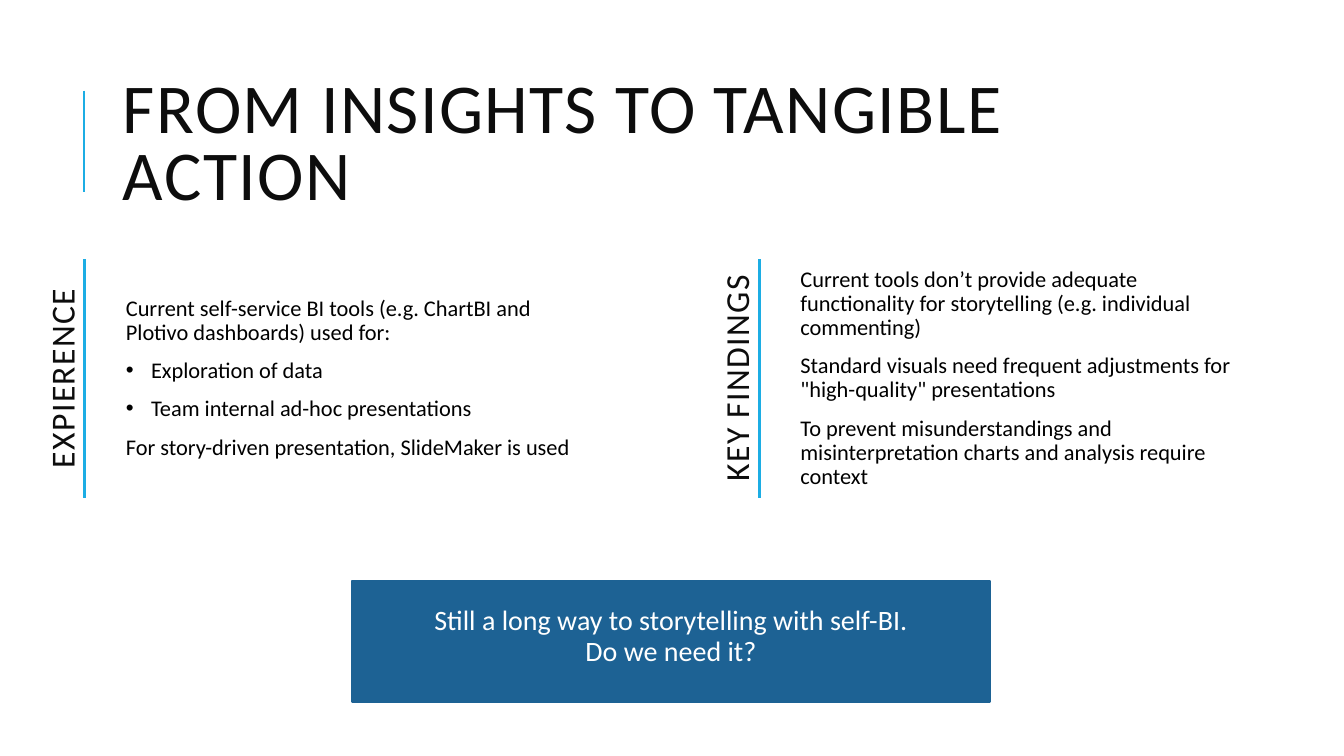
from lxml import etree
from pptx import Presentation
from pptx.dml.color import RGBColor
from pptx.enum import shapes, text
from pptx.oxml.ns import qn
from pptx.util import Inches, Pt

COLORS = {"accent": "1CADE4", "heading": "0D0D0D", "body": "000000",
          "banner": "1D6294", "white": "FFFFFF"}
FONT = "Calibri"
BULLET = "\u2022"


def rgb(name):
    """Return the named palette colour."""
    return RGBColor.from_string(COLORS[name])


def write(sp, lines, size, color, spacing, before=0, align=text.PP_ALIGN.LEFT, tracking=0):
    """Fill a shape with paragraphs; lines that start with a bullet become list items."""
    tf = sp.text_frame
    tf.word_wrap = True
    tf.vertical_anchor = text.MSO_ANCHOR.MIDDLE
    for i, line in enumerate(lines):
        p = tf.paragraphs[0] if i == 0 else tf.add_paragraph()
        p.text = line.removeprefix(BULLET)
        p.alignment = align
        p.line_spacing = spacing
        p.space_before = Pt(before)
        if line.startswith(BULLET):
            pPr = p._p.get_or_add_pPr()
            pPr.set("marL", str(Inches(0.25)))
            pPr.set("indent", str(Inches(-0.25)))
            etree.SubElement(pPr, qn("a:buFont")).set("typeface", "Arial")
            etree.SubElement(pPr, qn("a:buChar")).set("char", BULLET)
        for r in p.runs:
            r.font.name = FONT
            r.font.size = Pt(size)
            r.font.color.rgb = rgb(color)
            if tracking:
                r._r.get_or_add_rPr().set("spc", str(tracking * 100))


def add_textbox(s, x, y, w, h):
    """Add an empty text box, measured in inches."""
    return s.shapes.add_textbox(Inches(x), Inches(y), Inches(w), Inches(h))


def add_rule(s, x, y, h, weight):
    """Draw a vertical accent line."""
    line = s.shapes.add_connector(shapes.MSO_CONNECTOR.STRAIGHT,
                                  Inches(x), Inches(y), Inches(x), Inches(y + h))
    line.line.color.rgb = rgb("accent")
    line.line.width = Pt(weight)
    etree.SubElement(line._element.spPr, qn("a:effectLst"))


def add_title(s, x, y, w, h, title):
    """Place the slide title with the accent line on its left."""
    add_rule(s, x - 0.29, y + 0.26, 1, 1.5)
    write(add_textbox(s, x, y, w, h), [title], 50, "heading", 0.8, tracking=1)


def add_column(s, x, y, w, h, label, lines):
    """Place a rotated label, an accent line and the body text beside them."""
    margin, label_w, body_x = 0.39, 0.39, 0.7
    sp = add_textbox(s, x, y + margin, label_w, h - 2 * margin)
    sp.text_frame._txBody.bodyPr.set("vert", "vert270")
    write(sp, [label], 24, "heading", 0.8, align=text.PP_ALIGN.CENTER, tracking=1)
    add_rule(s, x + label_w, y + margin, h - 2 * margin, 2)
    write(add_textbox(s, x + body_x, y, w - body_x, h), lines, 16, "body", 0.9, before=10)


def add_banner(s, x, y, w, h, lines):
    """Place the filled closing statement."""
    sp = s.shapes.add_shape(shapes.MSO_SHAPE.RECTANGLE,
                            Inches(x), Inches(y), Inches(w), Inches(h))
    sp.shadow.inherit = False
    sp.fill.solid()
    sp.fill.fore_color.rgb = rgb("banner")
    sp.line.color.rgb = rgb("banner")
    sp.line.width = Pt(1.5)
    write(sp, lines, 20, "white", 0.5, before=10, align=text.PP_ALIGN.CENTER)


COLUMNS = [
    (0.45, "EXPIERENCE", [
        "Current self-service BI tools (e.g. ChartBI and Plotivo dashboards) used for:",
        BULLET + "Exploration of data",
        BULLET + "Team internal ad-hoc presentations",
        "For story-driven presentation, SlideMaker is used"]),
    (7.14, "KEY FINDINGS", [
        "Current tools don\u2019t provide adequate functionality for storytelling "
        "(e.g. individual commenting)",
        'Standard visuals need frequent adjustments for "high-quality" presentations',
        "To prevent misunderstandings and misinterpretation charts and analysis "
        "require context"]),
]

prs = Presentation()
prs.slide_width, prs.slide_height = Inches(13.33), Inches(7.5)
s = prs.slides.add_slide(prs.slide_layouts[6])
add_title(s, 1.12, 0.64, 10.63, 1.64, "FROM INSIGHTS TO TANGIBLE ACTION")
for left, label, lines in COLUMNS:
    add_column(s, left, 2.18, 5.42, 3.15, label, lines)
add_banner(s, 3.49, 5.76, 6.33, 1.2,
           ["Still a long way to storytelling with self-BI.", "Do we need it?"])
prs.save("out.pptx")
